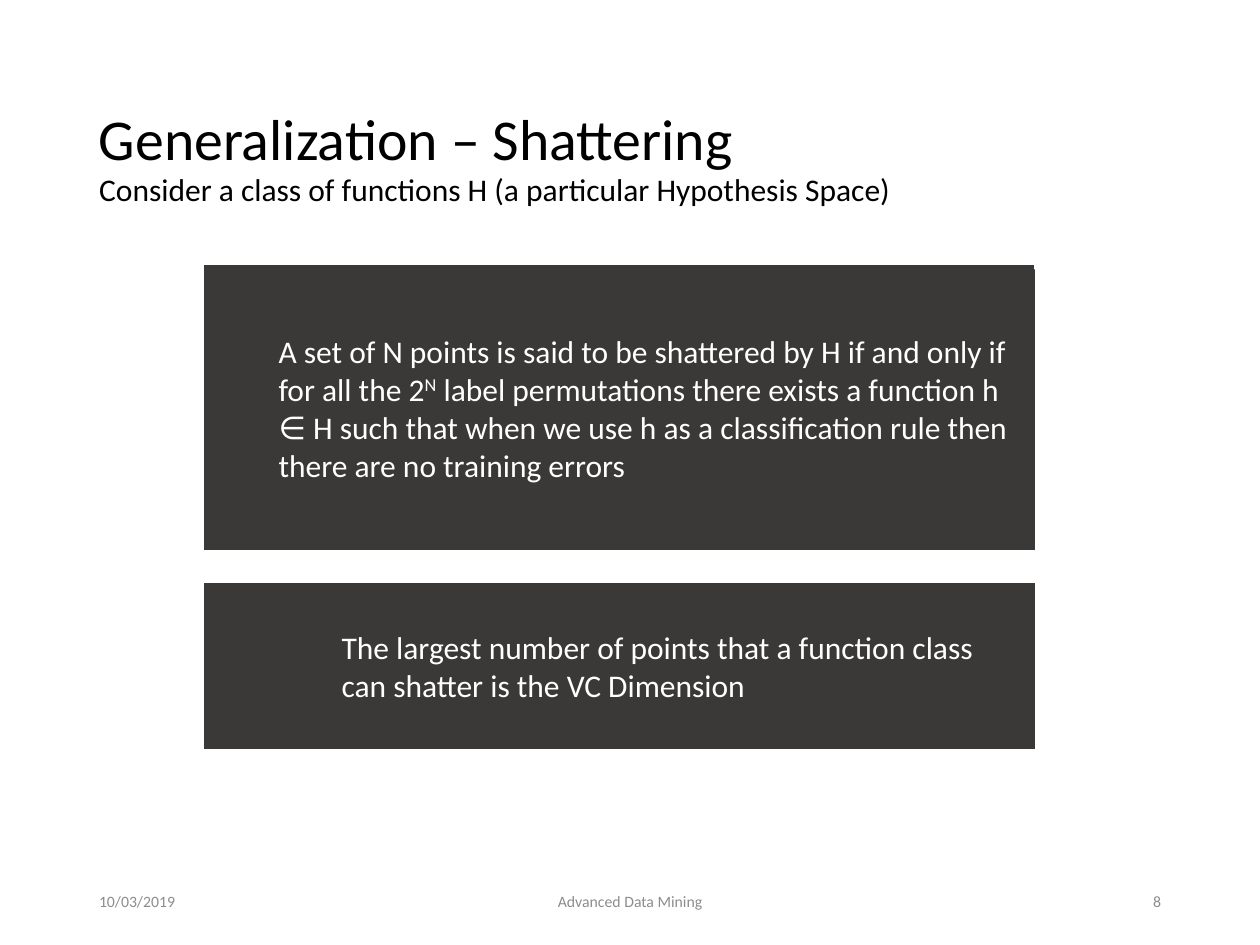
import pptx
import pptx.dml.color
import pptx.enum.shapes
import pptx.enum.text
import pptx.util

Pt = pptx.util.Pt
ALIGN = pptx.enum.text.PP_ALIGN
ANCHOR = pptx.enum.text.MSO_ANCHOR


def color(hex_string):
    return pptx.dml.color.RGBColor.from_string(hex_string)


def write(shape, text, size=18, ink="000000", align=ALIGN.LEFT,
          anchor=ANCHOR.MIDDLE, indent=0, line_spacing=1.0):
    """Fill a shape with one paragraph; text between carets is superscript."""
    frame = shape.text_frame
    frame.word_wrap = True
    frame.vertical_anchor = anchor
    frame.margin_left = Pt(7.2 + indent)
    paragraph = frame.paragraphs[0]
    paragraph.alignment = align
    paragraph.line_spacing = line_spacing
    for position, part in enumerate(text.split("^")):
        run = paragraph.add_run()
        run.text = part
        run.font.name = "Calibri"
        run.font.size = Pt(size)
        run.font.color.rgb = color(ink)
        if position % 2:
            run._r.get_or_add_rPr().set("baseline", "30000")


class Deck:
    WHITE = "FFFFFF"
    PANEL = "3B3838"
    MUTED = "8C8C8C"

    def __init__(self, width, height):
        self.presentation = pptx.Presentation()
        self.presentation.slide_width = Pt(width)
        self.presentation.slide_height = Pt(height)
        self.slide = self.presentation.slides.add_slide(
            self.presentation.slide_layouts[6])

    def label(self, text, left, top, width, height, **style):
        box = self.slide.shapes.add_textbox(
            Pt(left), Pt(top), Pt(width), Pt(height))
        write(box, text, **style)

    def block(self, left, top, width, height, fill, outline=None):
        rectangle = self.slide.shapes.add_shape(
            pptx.enum.shapes.MSO_SHAPE.RECTANGLE,
            Pt(left), Pt(top), Pt(width), Pt(height))
        rectangle.shadow.inherit = False
        rectangle.fill.solid()
        rectangle.fill.fore_color.rgb = color(fill)
        if outline:
            rectangle.line.color.rgb = color(outline)
            rectangle.line.width = Pt(1)
        else:
            rectangle.line.fill.background()
        return rectangle

    def statement(self, text, top, height, indent):
        panel = self.block(116, top, 476, height, self.PANEL, self.WHITE)
        write(panel, text, ink=self.WHITE, indent=indent)

    def footer(self, text, left, width, align):
        self.label(text, left, 500.5, width, 28.8,
                   size=9, ink=self.MUTED, align=align)


def main():
    deck = Deck(720, 540)
    deck.label("Generalization – Shattering", 49.5, 28.75, 621, 104.4,
               size=33, line_spacing=0.9)
    deck.label("Consider a class of functions H (a particular Hypothesis Space)",
               36, 95.75, 653, 389, anchor=ANCHOR.TOP, indent=13.5,
               line_spacing=0.9)

    deck.footer("10/03/2019", 49.5, 162, ALIGN.LEFT)
    deck.footer("Advanced Data Mining", 238.5, 243, ALIGN.CENTER)
    deck.footer("8", 508.5, 162, ALIGN.RIGHT)

    deck.statement(
        "A set of N points is said to be shattered by H if and only if for all "
        "the 2^N^ label permutations there exists a function h ∈ H such that "
        "when we use h as a classification rule then there are no training errors",
        top=151, height=164, indent=36)
    deck.statement(
        "The largest number of points that a function class can shatter is the "
        "VC Dimension",
        top=332.5, height=96, indent=72)
    deck.block(591, 106, 50, 48, deck.WHITE)

    deck.presentation.save("out.pptx")


if __name__ == "__main__":
    main()
